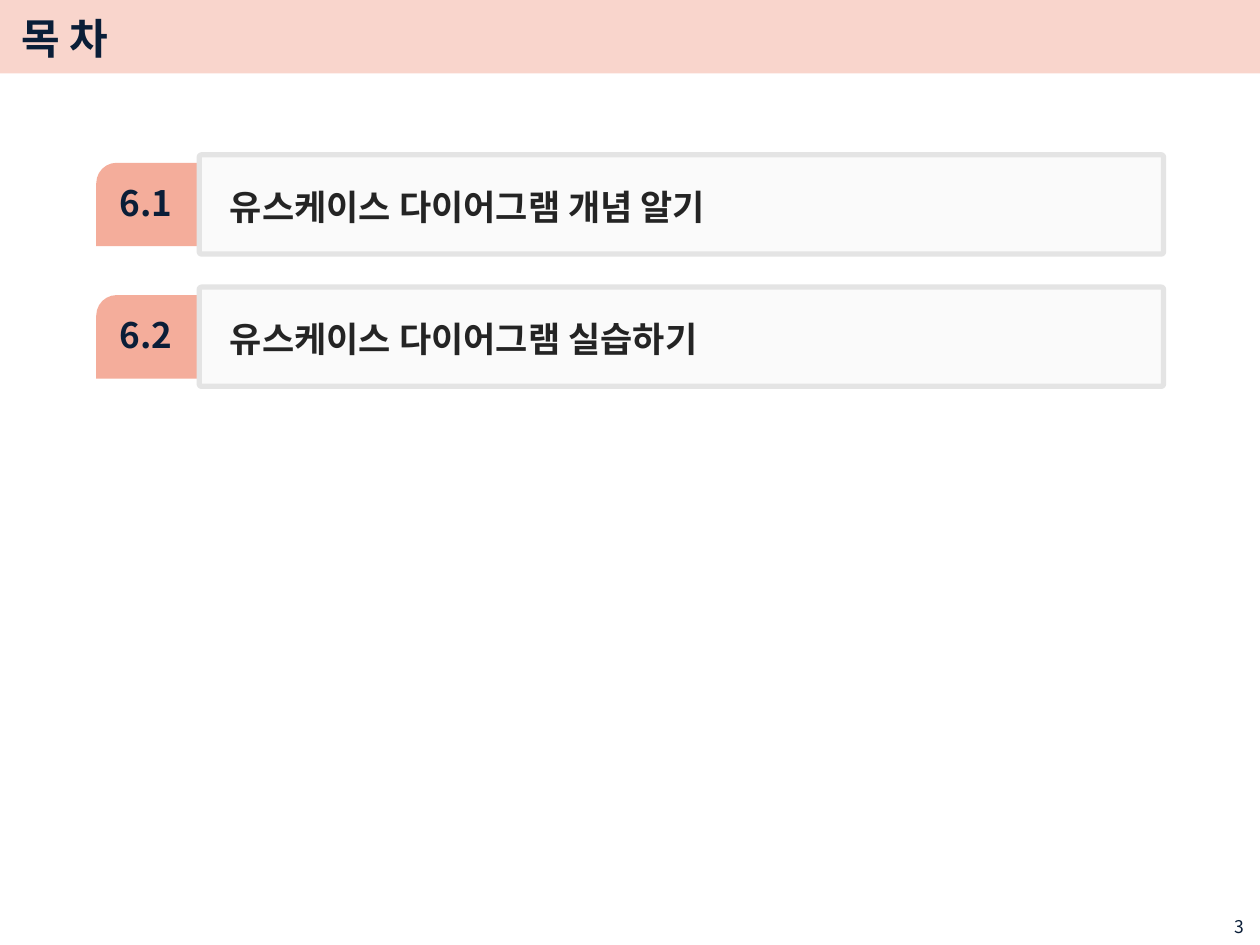
import pptx
import pptx.dml.color
import pptx.enum.shapes
import pptx.enum.text
import pptx.oxml.ns
import pptx.util
from lxml import etree

TITLE = "목 차"
PAGE_NUMBER = "3"
SECTIONS = [
    ("6.1", "유스케이스 다이어그램 개념 알기"),
    ("6.2", "유스케이스 다이어그램 실습하기"),
]

FONT = "Noto Sans CJK KR"
COLORS = {
    "coral": "EE7759",
    "navy": "0A1E38",
    "ink": "242424",
    "panel": "F2F2F2",
    "border": "E4E4E4",
}
FIRST_TOP, ROW_STEP = 88.5, 75.6
TAB_DROP = 4.5

Pt = pptx.util.Pt
Shape = pptx.enum.shapes.MSO_SHAPE
Align = pptx.enum.text.PP_ALIGN
Anchor = pptx.enum.text.MSO_ANCHOR
qn = pptx.oxml.ns.qn


def rgb(name):
    return pptx.dml.color.RGBColor.from_string(COLORS[name])


def add_panel(page, kind, place, color, opacity):
    """Add a borderless preset shape with a fill of the given opacity in percent."""
    panel = page.shapes.add_shape(kind, *map(Pt, place))
    panel.shadow.inherit = False
    panel.fill.solid()
    panel.fill.fore_color.rgb = rgb(color)
    tint = panel.fill._xPr.find(".//" + qn("a:srgbClr"))
    etree.SubElement(tint, qn("a:alpha"), val=str(opacity * 1000))
    panel.line.fill.background()
    return panel


def write(box, text, size, color, bold=True, align=Align.LEFT,
          anchor=Anchor.MIDDLE, insets=(3.6, 3.6), left=0, indent=0):
    """Write one line; insets are top and bottom, left and indent are its margins."""
    frame = box.text_frame
    frame.word_wrap = True
    frame.vertical_anchor = anchor
    frame.margin_left = frame.margin_right = Pt(7.2)
    frame.margin_top, frame.margin_bottom = map(Pt, insets)
    frame.text = text
    para = frame.paragraphs[0]
    para.alignment = align
    properties = para._p.get_or_add_pPr()
    properties.set("marL", str(Pt(left)))
    properties.set("indent", str(Pt(indent)))
    font = para.runs[0].font
    font.name, font.size, font.bold = FONT, Pt(size), bold
    font.color.rgb = rgb(color)
    etree.SubElement(font._element, qn("a:ea"), typeface=FONT)
    return para


def add_section(page, top, number, name):
    tab = add_panel(page, Shape.SNIP_ROUND_RECTANGLE,
                    (55, top + TAB_DROP, 59.5, 47.7), "coral", 60)
    tab.adjustments[0], tab.adjustments[1] = 0.245, 0
    write(tab, number, 20, "navy", insets=(0, 5.76), left=2.88)

    bar = add_panel(page, Shape.ROUNDED_RECTANGLE,
                    (113.9, top, 551, 56.7), "panel", 33)
    bar.adjustments[0] = 0.023
    bar.line.color.rgb = rgb("border")
    bar.line.width = Pt(3)
    para = write(bar, name, 20, "ink", left=9.36, indent=0.72)
    para.line_spacing = 1.1


def main():
    deck = pptx.Presentation()
    deck.slide_width, deck.slide_height = Pt(720), Pt(540)
    page = deck.slides.add_slide(deck.slide_layouts[6])

    add_panel(page, Shape.RECTANGLE, (0, -1.6, 720, 43.6), "coral", 30)
    number_box = page.shapes.add_textbox(*map(Pt, (651.6, 520, 66.2, 16.5)))
    write(number_box, PAGE_NUMBER, 10, "navy", bold=False,
          align=Align.RIGHT, anchor=Anchor.TOP)
    title_box = page.shapes.add_textbox(*map(Pt, (5, 2.9, 612.7, 37.4)))
    write(title_box, TITLE, 24, "navy")

    for row, (number, name) in enumerate(SECTIONS):
        add_section(page, FIRST_TOP + row * ROW_STEP, number, name)

    deck.save("out.pptx")


if __name__ == "__main__":
    main()
